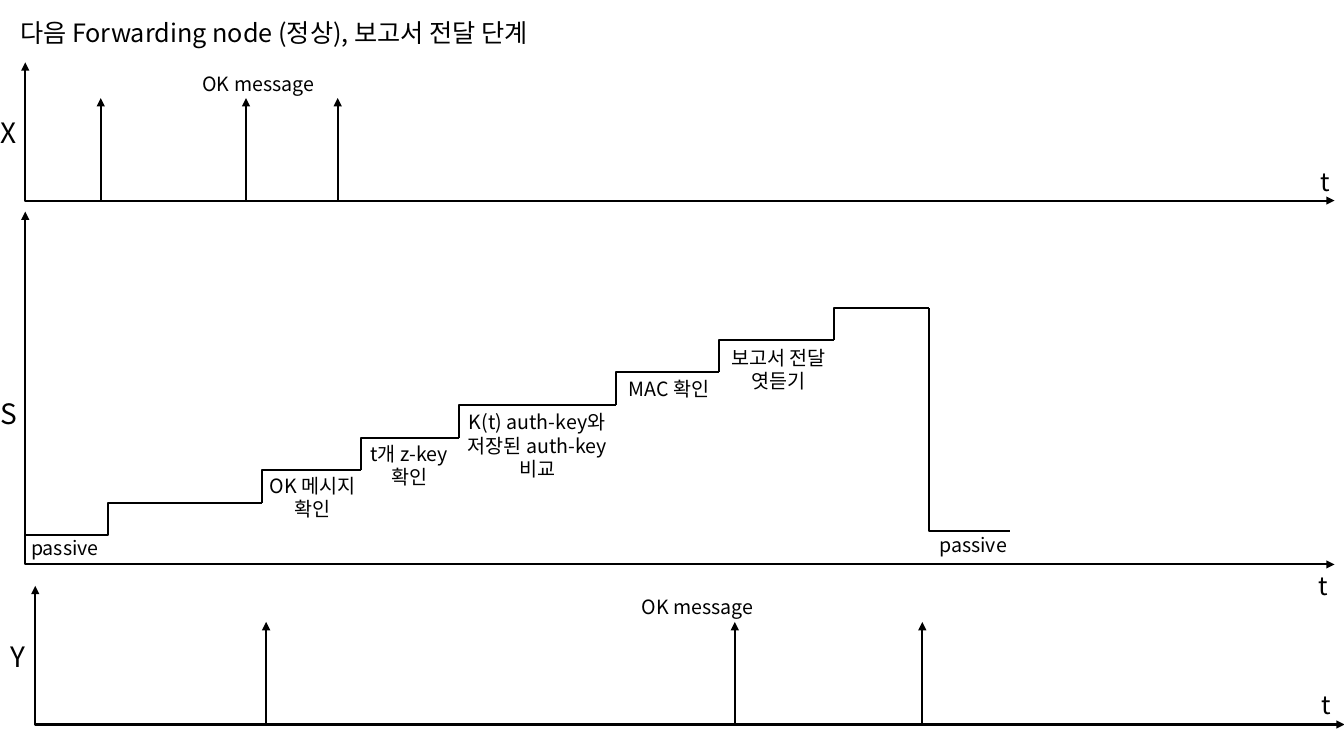
from itertools import pairwise
from lxml.etree import SubElement
from pptx import Presentation
from pptx.dml.color import RGBColor
from pptx.enum.shapes import MSO_CONNECTOR
from pptx.enum.text import PP_ALIGN
from pptx.oxml.ns import qn
from pptx.util import Pt

FONT = "Noto Sans CJK KR"
INK = "000000"
RISE = 73.2


def color(code):
    return RGBColor.from_string(code)


def text(slide, words, left, top, width, height, size=14, align=PP_ALIGN.LEFT):
    box = slide.shapes.add_textbox(Pt(left), Pt(top), Pt(width), Pt(height))
    frame = box.text_frame
    frame.word_wrap = True
    frame.text = words
    for para in frame.paragraphs:
        para.alignment = align
        for run in para.runs:
            run.font.size = Pt(size)
            run.font.name = FONT
            run.font.color.rgb = color(INK)
            SubElement(run.font._element, qn("a:ea"), typeface=FONT)


def line(slide, start, end, bend=None, ends=()):
    kind = MSO_CONNECTOR.STRAIGHT if bend is None else MSO_CONNECTOR.ELBOW
    link = slide.shapes.add_connector(kind, *map(Pt, start + end))
    link.line.width = Pt(1.5)
    link.line.color.rgb = color(INK)
    props = link._element.spPr
    if bend is not None:
        guides = props.find(qn("a:prstGeom")).get_or_add_avLst()
        SubElement(guides, qn("a:gd"), name="adj1", fmla=f"val {round(bend * 100000)}")
    for tip in ends:
        SubElement(link.line._get_or_add_ln(), qn(f"a:{tip}"), type="triangle")
    SubElement(props, qn("a:effectLst"))


def axes(slide, box, name, drop, time):
    left, top, width, height = box
    base = top + height
    line(slide, (left, top), (left + width, base), 0, ("headEnd", "tailEnd"))
    text(slide, name, left - 24.5, top + height / 2 + drop, 32.4, 31.7, 20)
    text(slide, "t", left + time[0], base + time[1], 32.4, 28.8, 18)


def events(slide, box, name, drop, time, marks, label):
    axes(slide, box, name, drop, time)
    left, top, width, height = box
    base = top + height
    for mark in marks:
        line(slide, (left + mark, base), (left + mark, base - RISE), ends=("tailEnd",))
    text(slide, "OK message", left + label, top + 3, 98.6, 24.5)


def states(slide, box):
    axes(slide, box, "S", 2.2, (917, 0.7))
    left, top, width, height = box
    steps = [(0, 231), (169.2, 208), (239.8, 184.8), (309.7, 162), (422, 138.4),
             (495.6, 114.6), (577.5, 91.6), (645.8, 69.1), (703.4, 228)]
    points = [(left + x, top + y) for x, y in steps]
    for spot, (start, end) in enumerate(pairwise(points)):
        line(slide, start, end, 0.35 if spot == 0 else 0)
    labels = [
        ("passive", -2.9, 228.2, 90, 1, PP_ALIGN.LEFT),
        ("OK 메시지\n확인", 144.7, 183.6, 121, 2, PP_ALIGN.CENTER),
        ("t개 z-key\n확인", 213.8, 160.6, 121, 2, PP_ALIGN.CENTER),
        ("K(t) auth-key와\n저장된 auth-key\n비교", 259.2, 138.2, 213, 3, PP_ALIGN.CENTER),
        ("MAC 확인", 424, 114.5, 78.5, 1, PP_ALIGN.LEFT),
        ("보고서 전달\n엿듣기", 493.2, 92.2, 90, 2, PP_ALIGN.CENTER),
        ("passive", 645.8, 226, 90, 1, PP_ALIGN.LEFT),
    ]
    for words, x, y, wide, rows, align in labels:
        text(slide, words, left + x, top + y, wide, 7.2 + 17 * rows, align=align)


def main():
    deck = Presentation()
    deck.slide_width, deck.slide_height = Pt(960), Pt(540)
    slide = deck.slides.add_slide(deck.slide_layouts[6])
    text(slide, "다음 Forwarding node (정상), 보고서 전달 단계", 7.2, 8.6, 586, 28.8, 18)
    events(slide, (18, 44.6, 935.3, 98.7), "X", -14.8, (918, -28.1),
           (54, 157.7, 223.2), 119.5)
    states(slide, (18, 151.2, 935.3, 252))
    events(slide, (25.2, 418.5, 935.3, 99), "Y", -14.4, (911.5, -28.4),
           (164.9, 499.7, 633.6), 426.2)
    deck.save("out.pptx")


if __name__ == "__main__":
    main()
